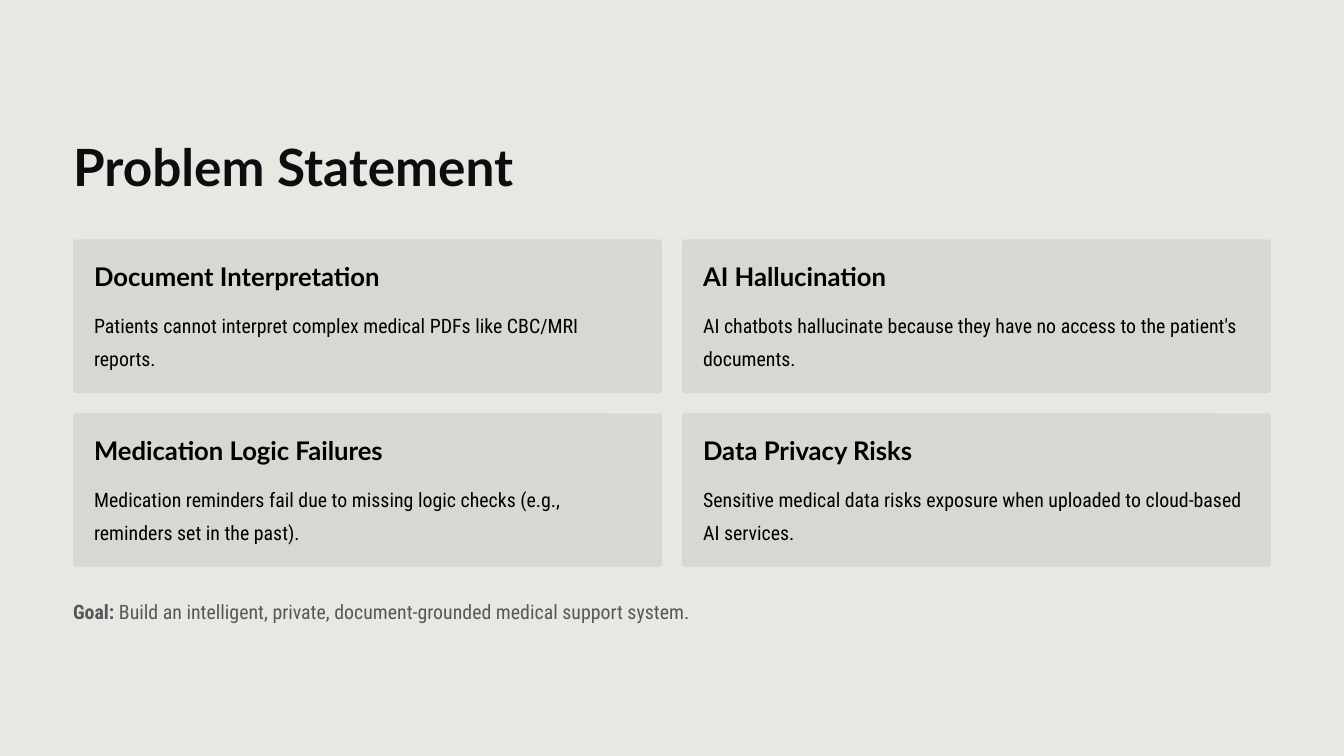
from lxml import etree
from pptx import Presentation
from pptx.dml.color import RGBColor
from pptx.enum import shapes, text
from pptx.oxml import ns
from pptx.util import Inches, Pt

PAPER = RGBColor(0xE8, 0xE8, 0xE3)
CARD = RGBColor(0xC8, 0xCA, 0xC1)
INK = RGBColor(0x0C, 0x0D, 0x0F)
BLACK = RGBColor(0, 0, 0)
GRAY = RGBColor(0x55, 0x57, 0x5A)

TITLE = {"name": "Lato", "size": Pt(44), "bold": True, "color": INK}
HEADING = {"name": "Lato", "size": Pt(22), "bold": True, "color": BLACK}
BODY = {"name": "Roboto Condensed", "size": Pt(17), "bold": False, "color": BLACK}
GOAL = {**BODY, "color": GRAY}
GOAL_LABEL = {**GOAL, "bold": True}

LEFT = 0.87
CARD_TOP = 2.85
CARD_WIDTH, CARD_HEIGHT = 7.01, 1.83
GAP = 0.24
PADDING = 0.25

PROBLEMS = [
    ("Document Interpretation", 3.56,
     "Patients cannot interpret complex medical PDFs like CBC/MRI reports."),
    ("AI Hallucination", 2.32,
     "AI chatbots hallucinate because they have no access to the patient's documents."),
    ("Medication Logic Failures", 3.77,
     "Medication reminders fail due to missing logic checks (e.g., reminders set in the past)."),
    ("Data Privacy Risks", 2.75,
     "Sensitive medical data risks exposure when uploaded to cloud-based AI services."),
]


def add_text(slide, box, line_spacing, runs):
    frame = slide.shapes.add_textbox(*map(Inches, box)).text_frame
    layout = {"word_wrap": True, "auto_size": text.MSO_AUTO_SIZE.NONE,
              "margin_left": 0, "margin_top": 0, "margin_right": 0, "margin_bottom": 0}
    for key, value in layout.items():
        setattr(frame, key, value)
    paragraph = frame.paragraphs[0]
    paragraph.line_spacing = Pt(line_spacing)
    for words, style in runs:
        run = paragraph.add_run()
        run.text = words
        for key, value in style.items():
            if key == "color":
                run.font.color.rgb = value
            else:
                setattr(run.font, key, value)


def add_problem_card(slide, box, heading, heading_width, description):
    left, top, width, height = box
    card = slide.shapes.add_shape(shapes.MSO_SHAPE.ROUNDED_RECTANGLE, *map(Inches, box))
    card.adjustments[0] = 0.02
    card.shadow.inherit = False
    card.fill.solid()
    card.fill.fore_color.rgb = CARD
    card.line.fill.background()
    tint = card.fill._xPr.find(".//" + ns.qn("a:srgbClr"))
    etree.SubElement(tint, ns.qn("a:alpha"), val="50000")

    inner_left = left + PADDING
    add_text(slide, (inner_left, top + PADDING, heading_width, 0.37), 27,
             [(heading, HEADING)])
    add_text(slide, (inner_left, top + 0.78, width - 2 * PADDING, 0.75), 28,
             [(description, BODY)])


def add_problem_grid(slide, left, top):
    for index, problem in enumerate(PROBLEMS):
        row, column = divmod(index, 2)
        box = (left + column * (CARD_WIDTH + GAP), top + row * (CARD_HEIGHT + GAP),
               CARD_WIDTH, CARD_HEIGHT)
        add_problem_card(slide, box, *problem)


def main():
    deck = Presentation()
    deck.slide_width, deck.slide_height = Inches(16), Inches(9)
    slide = deck.slides.add_slide(deck.slide_layouts[6])
    slide.background.fill.solid()
    slide.background.fill.fore_color.rgb = PAPER

    add_text(slide, (LEFT, 1.58, 5.58, 0.75), 55, [("Problem Statement", TITLE)])
    add_problem_grid(slide, LEFT, CARD_TOP)
    add_text(slide, (LEFT, 7.03, 8.3, 0.37), 28, [
        ("Goal:", GOAL_LABEL),
        (" Build an intelligent, private, document-grounded medical support system.", GOAL),
    ])
    deck.save("out.pptx")


if __name__ == "__main__":
    main()
